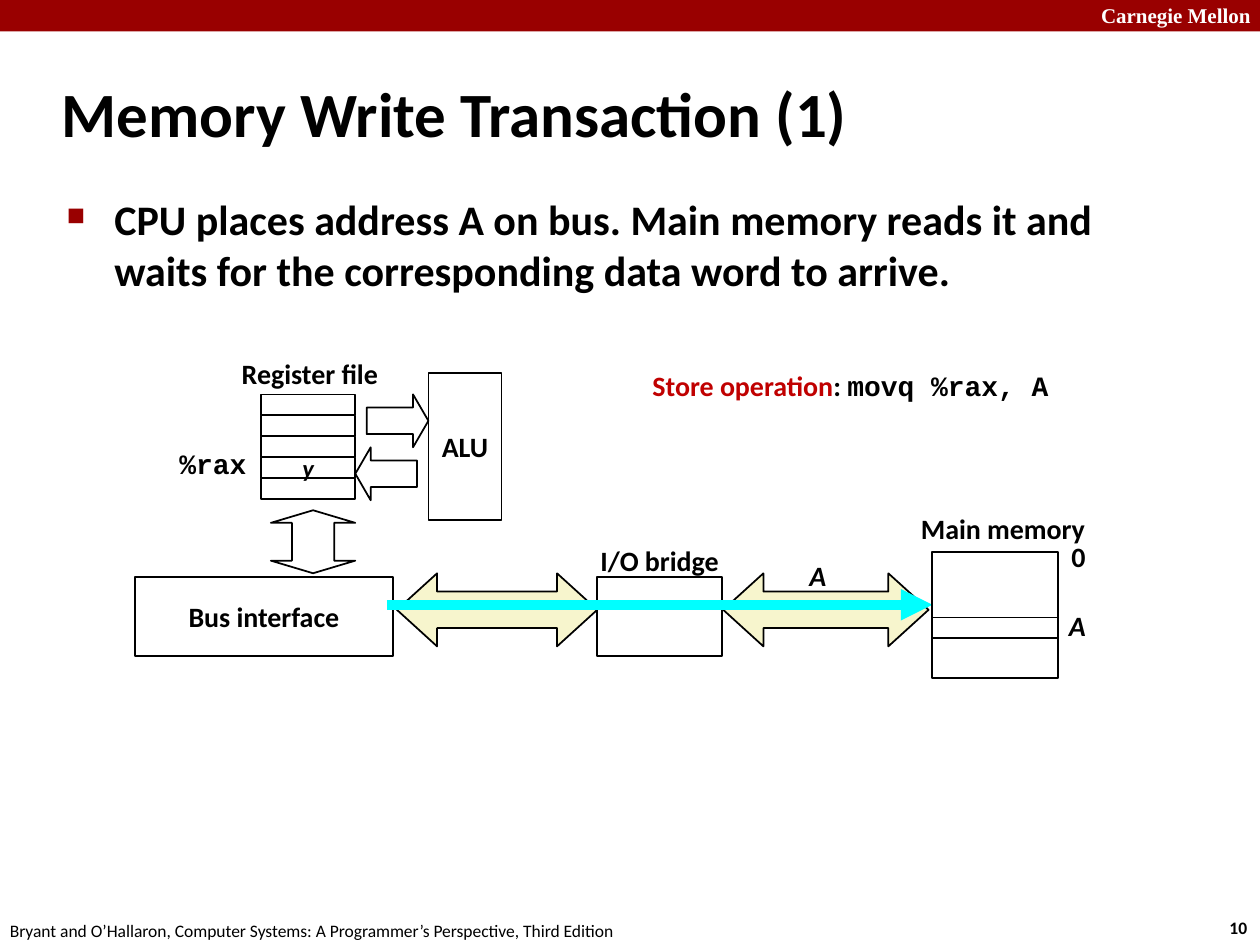
from dataclasses import dataclass
from pptx import Presentation
from pptx import util as u
from pptx.dml import color
from pptx.enum import shapes, text
from pptx.oxml import ns
from lxml import etree


@dataclass(frozen=True)
class Theme:
    red: str = "990000"
    accent: str = "C00000"
    black: str = "000000"
    white: str = "FFFFFF"
    bus: str = "F7F5CD"
    signal: str = "00FFFF"
    sans: str = "Calibri"
    mono: str = "Courier New"
    serif: str = "Times New Roman"
    title: int = 36
    body: int = 24
    label: int = 16
    value: int = 14
    header: int = 12
    footer: int = 10


theme = Theme()
deck = Presentation()
deck.slide_width, deck.slide_height = u.Inches(10), u.Inches(7.5)
column = deck.slide_width / 100
row = deck.slide_height / 75
page = deck.slides.add_slide(deck.slide_layouts[5])
kinds = shapes.MSO_SHAPE
middle, top = text.MSO_ANCHOR.MIDDLE, text.MSO_ANCHOR.TOP
center, left = text.PP_ALIGN.CENTER, text.PP_ALIGN.LEFT


def add_block(kind, x, y, w, h, fill=None, outline=theme.black, adjust=()):
    box = page.shapes.add_shape(kind, *map(int, (x * column, y * row, w * column, h * row)))
    box.shadow.inherit = False
    if adjust:
        guides = box._element.spPr.find(ns.qn("a:prstGeom")).find(ns.qn("a:avLst"))
        guides.clear()
        for number, share in enumerate(adjust, 1):
            etree.SubElement(guides, ns.qn("a:gd"), name=f"adj{number}", fmla=f"val {round(share * 100000)}")
    if fill:
        box.fill.solid()
        box.fill.fore_color.rgb = color.RGBColor.from_string(fill)
    else:
        box.fill.background()
    if outline:
        box.line.color.rgb = color.RGBColor.from_string(outline)
        box.line.width = u.Pt(1)
    else:
        box.line.fill.background()
    return box


def add_words(box, spans, size=theme.label, align=center, anchor=middle, wrap=False, bold=True, italic=False):
    frame = box.text_frame
    frame.word_wrap = wrap
    frame.vertical_anchor = anchor
    para = frame.paragraphs[0]
    para.alignment = align
    for words, face, ink in spans:
        span = para.add_run()
        span.text = words
        span.font.name, span.font.size = face, u.Pt(size)
        span.font.bold, span.font.italic = bold, italic
        span.font.color.rgb = color.RGBColor.from_string(ink)
    return para


add_block(kinds.RECTANGLE, 0, 0, 100, 2.5, theme.red, None)

title = page.shapes.title
title.left, title.top = int(3.9 * column), int(4.8 * row)
title.width, title.height = int(83 * column), int(8.3 * row)
add_words(title, [("Memory Write Transaction (1)", theme.sans, theme.black)], theme.title, left, wrap=True)

body = page.shapes.add_textbox(*map(int, (4.3 * column, 14.9 * row, 86.4 * column, 54.4 * row)))
para = add_words(body, [("CPU places address A on bus. Main memory reads it and waits for the "
                         "corresponding data word to arrive.", theme.sans, theme.black)],
                 theme.body, left, top, wrap=True)
props = para._p.get_or_add_pPr()
props.set("marL", str(u.Inches(0.38)))
props.set("indent", str(-u.Inches(0.38)))
bullet_color = etree.SubElement(props, ns.qn("a:buClr"))
etree.SubElement(bullet_color, ns.qn("a:srgbClr"), val=theme.red)
etree.SubElement(props, ns.qn("a:buSzPct"), val="60000")
etree.SubElement(props, ns.qn("a:buChar"), char="■")

for x, w in ((57.4, 16.3), (31.5, 15.9)):
    add_block(kinds.LEFT_RIGHT_ARROW, x, 45.5, w, 5.8, theme.bus, adjust=(0.5, 0.55))
add_block(kinds.RECTANGLE, 47.4, 45.8, 9.9, 6.3)

register_height = 5 / 3
registers = [add_block(kinds.RECTANGLE, 20.7, 31.3 + index * register_height, 7.5, register_height)
             for index in range(5)]
add_words(registers[3], [("y", theme.sans, theme.black)], theme.value, italic=True)

add_block(kinds.RIGHT_ARROW, 29.1, 31.3, 4.9, 4.2, adjust=(0.5, 0.29))
add_block(kinds.LEFT_ARROW, 28.2, 35.5, 4.9, 4.2, adjust=(0.5, 0.29))
add_block(kinds.UP_DOWN_ARROW, 21.5, 40.5, 6.7, 5, adjust=(0.5, 0.2))

alu = add_block(kinds.RECTANGLE, 34, 29.6, 5.8, 11.7)
bus_interface = add_block(kinds.RECTANGLE, 10.7, 45.8, 20.5, 6.3, theme.white)
for box, words in ((alu, "ALU"), (bus_interface, "Bus interface")):
    add_words(box, [(words, theme.sans, theme.black)])

signal = page.shapes.add_connector(shapes.MSO_CONNECTOR.STRAIGHT, int(30.7 * column), int(48 * row),
                                   int(74 * column), int(48 * row))
signal.line.color.rgb = color.RGBColor.from_string(theme.signal)
signal.line.width = u.Pt(6)
etree.SubElement(signal.line._get_or_add_ln(), ns.qn("a:tailEnd"), type="triangle")
etree.SubElement(signal._element.spPr, ns.qn("a:effectLst"))

add_block(kinds.RECTANGLE, 74, 43.8, 10, 10)
add_block(kinds.RECTANGLE, 74, 49, 10, register_height)

labels = (
    ("Register file", 18.1, 27.8, 13, theme.sans, False),
    ("%rax", 13.2, 34.9, 7.4, theme.mono, False),
    ("I/O bridge", 46.6, 42.6, 11.5, theme.sans, False),
    ("A", 63.2, 43.8, 3.4, theme.sans, True),
    ("Main memory", 72, 40.1, 15.2, theme.sans, False),
    ("0", 84, 42.3, 3.2, theme.sans, False),
    ("A", 83.8, 47.8, 3.4, theme.sans, True),
)
for words, x, y, w, face, italic in labels:
    box = page.shapes.add_textbox(*map(int, (x * column, y * row, w * column, 3.7 * row)))
    add_words(box, [(words, face, theme.black)], italic=italic)

store = [("Store operation", theme.sans, theme.accent), (": ", theme.sans, theme.black),
         ("movq %rax, A", theme.mono, theme.black)]
credit = "Bryant and O’Hallaron, Computer Systems: A Programmer’s Perspective, Third Edition"
notes = (
    (store, 50.8, 28.8, 33.9, 6.4, theme.label, True),
    ([("Carnegie Mellon", theme.serif, theme.white)], 86.4, -0.3, 14.3, 3, theme.header, True),
    ([("10", theme.sans, theme.black)], 96.6, 72.3, 3.7, 2.7, theme.footer, True),
    ([(credit, theme.sans, theme.black)], -0.2, 72.5, 50.8, 2.7, theme.footer, False),
)
for spans, x, y, w, h, size, bold in notes:
    box = page.shapes.add_textbox(*map(int, (x * column, y * row, w * column, h * row)))
    add_words(box, spans, size, left, top, bold=bold)

deck.save("out.pptx")
